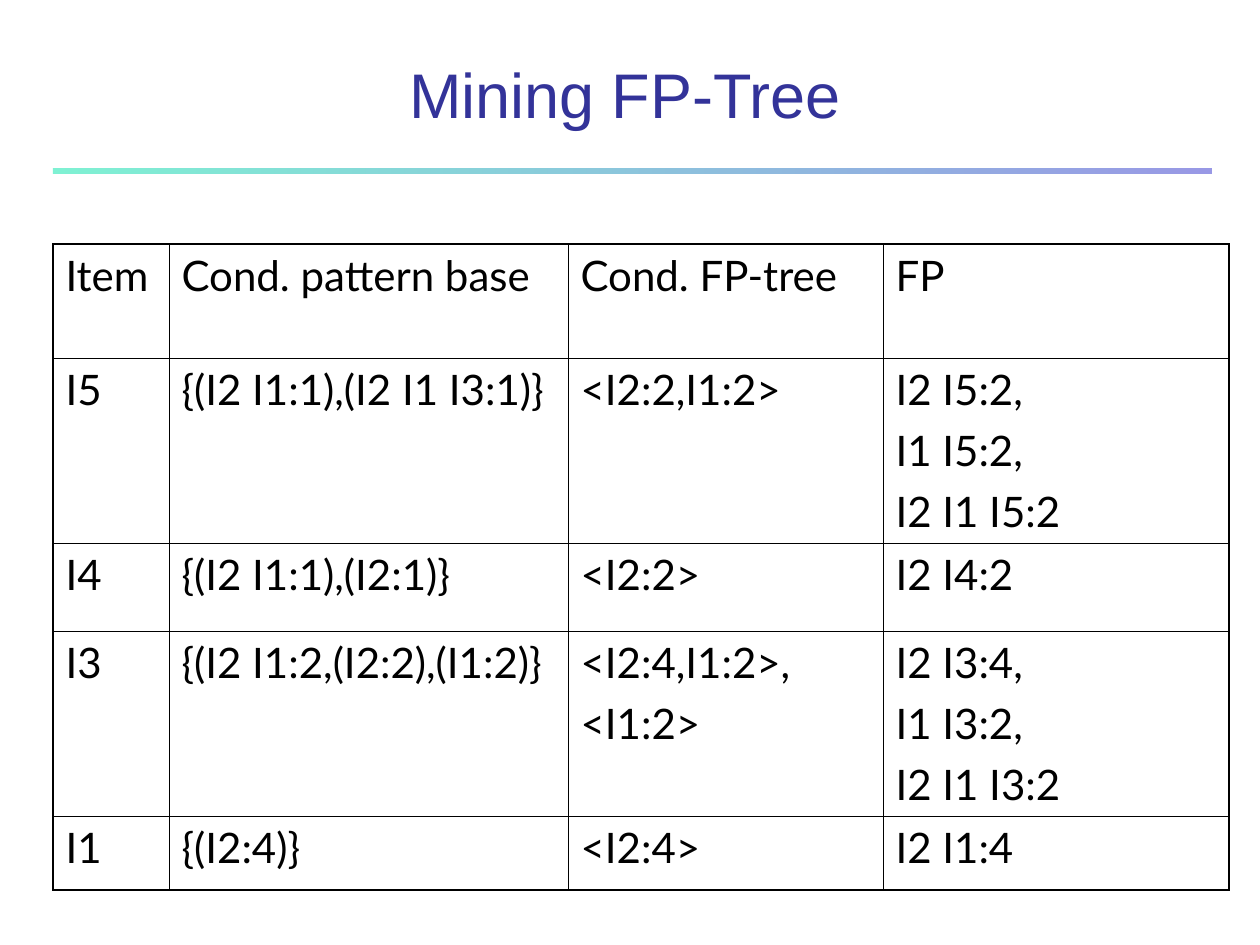
from pptx import Presentation
from pptx.dml.color import RGBColor
from pptx.enum.shapes import MSO_SHAPE
from pptx.enum.text import MSO_ANCHOR, PP_ALIGN
from pptx.oxml import parse_xml
from pptx.oxml.ns import nsdecls, qn
from pptx.oxml.xmlchemy import OxmlElement
from pptx.util import Emu, Pt

PX_PER_INCH = 126
BLACK = RGBColor(0x00, 0x00, 0x00)
NAVY = RGBColor(0x33, 0x33, 0x99)
GREEN = RGBColor(0x00, 0xE4, 0xA8)
BLUE = RGBColor(0x33, 0x33, 0xCC)
THIN, THICK = Pt(0.45), Pt(1.08)

COLUMNS = [116, 399, 315, 346]
ROWS = [
    (114, ["Item", "Cond. pattern base", "Cond. FP-tree", "FP"]),
    (185, ["I5", "{(I2 I1:1),(I2 I1 I3:1)}", "<I2:2,I1:2>",
           "I2 I5:2,\nI1 I5:2,\nI2 I1 I5:2"]),
    (88, ["I4", "{(I2 I1:1),(I2:1)}", "<I2:2>", "I2 I4:2"]),
    (185, ["I3", "{(I2 I1:2,(I2:2),(I1:2)}", "<I2:4,I1:2>,\n<I1:2>",
           "I2 I3:4,\nI1 I3:2,\nI2 I1 I3:2"]),
    (74, ["I1", "{(I2:4)}", "<I2:4>", "I2 I1:4"]),
]


def px(n):
    return Emu(round(n * 914400 / PX_PER_INCH))


def add_run(p, text, size, font, color):
    r = p.add_run()
    r.text = text
    r.font.size = Pt(size)
    r.font.name = font
    r.font.color.rgb = color


def add_title(s, text, x, y, w, h):
    tf = s.shapes.add_textbox(px(x), px(y), px(w), px(h)).text_frame
    tf.word_wrap = True
    tf.vertical_anchor = MSO_ANCHOR.BOTTOM
    p = tf.paragraphs[0]
    p.alignment = PP_ALIGN.CENTER
    add_run(p, text, 36, "Arial", NAVY)


def add_gradient_bar(s, x, y, w, h):
    sp = s.shapes.add_shape(MSO_SHAPE.RECTANGLE, px(x), px(y), px(w), px(h))
    sp.shadow.inherit = False
    sp.line.fill.background()
    sp.fill.gradient()
    sp.fill.gradient_angle = 0
    for stop, color in zip(sp.fill.gradient_stops, (GREEN, BLUE)):
        stop.color.rgb = color
    for clr in sp._element.spPr.iter(qn("a:srgbClr")):
        alpha = OxmlElement("a:alpha")
        alpha.set("val", "50000")
        clr.append(alpha)


def set_borders(cell, widths):
    tcPr = cell._tc.get_or_add_tcPr()
    for side, width in zip("LRTB", widths):
        tcPr.append(parse_xml(
            f'<a:ln{side} {nsdecls("a")} w="{width}"><a:solidFill>'
            f'<a:srgbClr val="{BLACK}"/></a:solidFill></a:ln{side}>'))


def fill_cell(cell, text):
    cell.fill.background()
    tf = cell.text_frame
    for i, line in enumerate(text.split("\n")):
        p = tf.add_paragraph() if i else tf.paragraphs[0]
        if i:
            p.space_before = Pt(6)
        add_run(p, line, 24, "Lato", BLACK)


def add_grid(s, x, y):
    last_row, last_col = len(ROWS) - 1, len(COLUMNS) - 1
    height = sum(h for h, _ in ROWS)
    table = s.shapes.add_table(len(ROWS), len(COLUMNS), px(x), px(y),
                               px(sum(COLUMNS)), px(height)).table
    table.first_row = False
    table.horz_banding = False
    for col, width in zip(table.columns, COLUMNS):
        col.width = px(width)
    for i, (h, texts) in enumerate(ROWS):
        table.rows[i].height = px(h)
        for j, text in enumerate(texts):
            cell = table.cell(i, j)
            outer = (j == 0, j == last_col, i == 0, i == last_row)
            set_borders(cell, [THICK if edge else THIN for edge in outer])
            fill_cell(cell, text)


def main():
    prs = Presentation()
    prs.slide_width, prs.slide_height = px(1260), px(945)
    s = prs.slides.add_slide(prs.slide_layouts[6])
    add_gradient_bar(s, 53, 168, 1159, 6)
    add_title(s, "Mining FP-Tree", 53, 53, 1144, 84)
    add_grid(s, 53, 244)
    prs.save("out.pptx")


if __name__ == "__main__":
    main()
